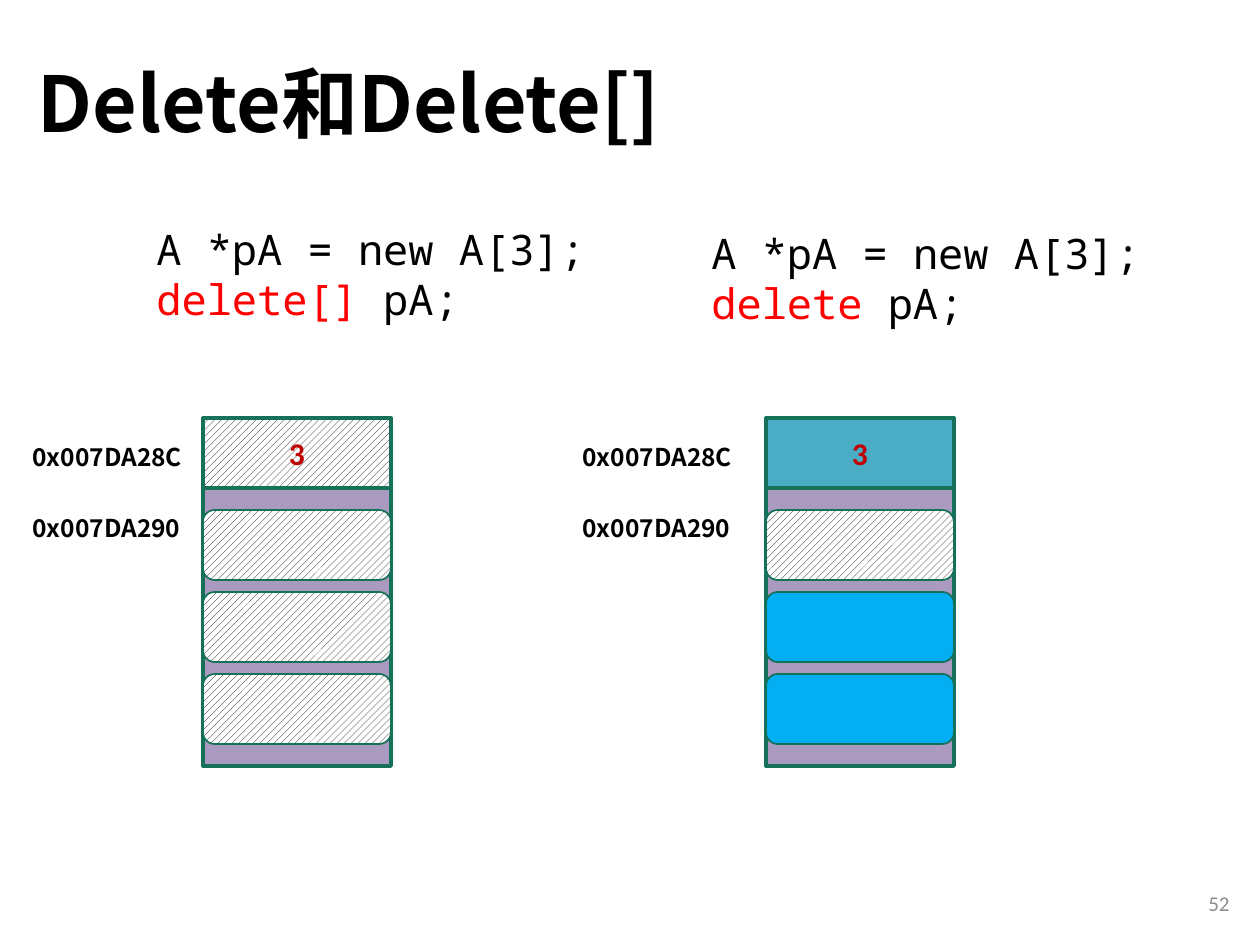
"""Build a slide comparing the memory freed by delete[] and by delete."""
from pptx import Presentation
from pptx import util as u
from pptx.dml.color import RGBColor
from pptx.enum import dml, shapes, text
from pptx.oxml.ns import qn
from lxml import etree

PX = 914400 / 126
COLORS = {
    "black": "000000", "white": "FFFFFF", "red": "FF0000", "count": "C00000",
    "grey": "8C8C8C", "outline": "157259", "memory": "AA9ABF",
    "header": "4AACC5", "object": "03AEF3",
}
CJK, MONO, SANS = "Noto Sans CJK SC", "Noto Sans Mono", "Calibri"
ANCHOR, ALIGN = text.MSO_ANCHOR, text.PP_ALIGN


def add_text(box, lines, size, font, bold=False, anchor=ANCHOR.TOP, align=ALIGN.LEFT):
    frame = box.text_frame
    frame.word_wrap = True
    frame.vertical_anchor = anchor
    frame.text = "\n".join("" for _ in lines)
    for paragraph, parts in zip(frame.paragraphs, lines):
        paragraph.alignment = align
        for words, color in parts:
            run = paragraph.add_run()
            run.text = words
            run.font.size, run.font.name, run.font.bold = u.Pt(size), font, bold
            run.font.color.rgb = RGBColor.from_string(COLORS[color])
            if font == CJK:
                etree.SubElement(run.font._element, qn("a:ea")).set("typeface", font)


def add_block(parent, kind, box, fill, line_width):
    block = parent.shapes.add_shape(kind, *[round(n * PX) for n in box])
    block.shadow.inherit = False
    if fill == "hatched":
        block.fill.patterned()
        block.fill.pattern = dml.MSO_PATTERN.WIDE_UPWARD_DIAGONAL
        block.fill.fore_color.rgb = RGBColor.from_string(COLORS["black"])
        block.fill.back_color.rgb = RGBColor.from_string(COLORS["white"])
    else:
        block.fill.solid()
        block.fill.fore_color.rgb = RGBColor.from_string(COLORS[fill])
    block.line.color.rgb = RGBColor.from_string(COLORS["outline"])
    block.line.width = u.Pt(line_width)
    return block


prs = Presentation()
prs.slide_width, prs.slide_height = u.Inches(10), u.Inches(7.5)
slide = prs.slides.add_slide(prs.slide_layouts[6])

title = slide.shapes.add_textbox(*[round(n * PX) for n in (25, 16, 1086, 183)])
add_text(title, [[("Delete和Delete[]", "black")]], 44, CJK, True, ANCHOR.MIDDLE)
title.text_frame.paragraphs[0].line_spacing = 0.9

page_number = slide.shapes.add_textbox(*[round(n * PX) for n in (958, 878, 284, 50)])
add_text(page_number, [[("52", "grey")]], 12, SANS, False, ANCHOR.MIDDLE, ALIGN.RIGHT)

RECT, ROUNDED = shapes.MSO_SHAPE.RECTANGLE, shapes.MSO_SHAPE.ROUNDED_RECTANGLE
WIDTH, CELL, FIRST_OBJECT, PITCH = 188, 70, 510, 82
cases = [
    ("delete[] ", (144, 217), 20, 203, "hatched", ["hatched"] * 3),
    ("delete ", (699, 221), 570, 766, "header", ["hatched", "object", "object"]),
]
for keyword, code_at, address_left, memory_left, count_fill, object_fills in cases:
    memory = slide.shapes.add_group_shape()
    add_block(memory, RECT, (memory_left, 488, WIDTH, 278), "memory", 2.25)
    count = add_block(memory, RECT, (memory_left, 418, WIDTH, CELL), count_fill, 2.25)
    add_text(count, [[("3", "count")]], 18, SANS, True, ANCHOR.MIDDLE, ALIGN.CENTER)
    for row, fill in enumerate(object_fills):
        top = FIRST_OBJECT + row * PITCH
        add_block(memory, ROUNDED, (memory_left, top, WIDTH, CELL), fill, 1)

    code = slide.shapes.add_textbox(*[round(n * PX) for n in (*code_at, 456, 115)])
    code_lines = [[("A *pA = new A[3];", "black")], [(keyword, "red"), ("pA;", "black")]]
    add_text(code, code_lines, 24, MONO)

    for address, top in (("0x007DA28C", 436), ("0x007DA290", 507)):
        label = slide.shapes.add_textbox(*[round(n * PX) for n in (address_left, top, 185, 43)])
        add_text(label, [[(address, "black")]], 14, CJK, True)

prs.save("out.pptx")
